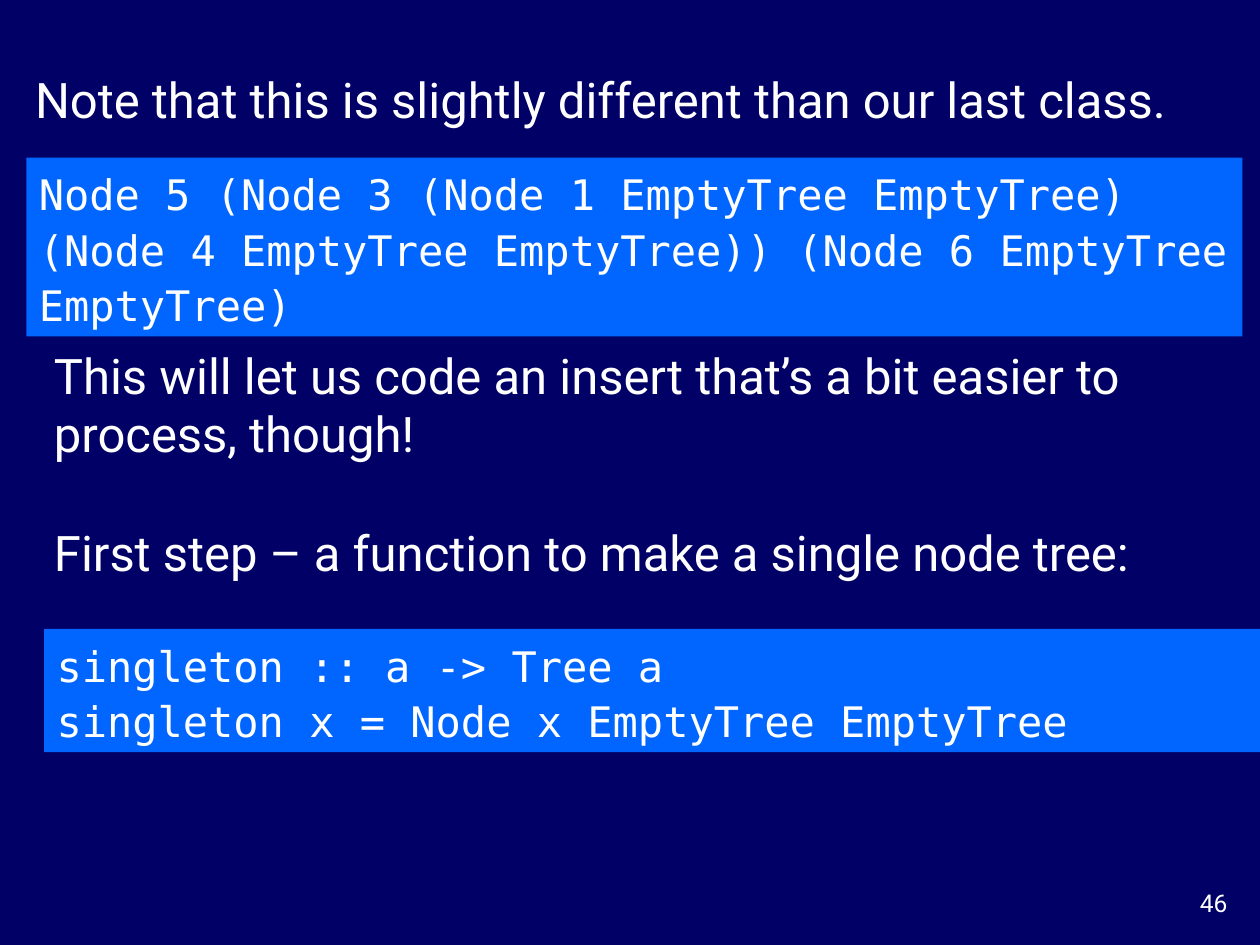
import dataclasses

import pptx
import pptx.dml.color
import pptx.enum.shapes
import pptx.enum.text
import pptx.util
from pptx.util import Inches, Pt


@dataclasses.dataclass(frozen=True)
class Theme:
    """Colours, fonts and type sizes of the slide."""

    background: str = "000066"
    panel: str = "0066FF"
    ink: str = "FFFFFF"
    prose_font: str = "Roboto"
    code_font: str = "DejaVu Sans Mono"
    prose_size: int = 28
    code_size: int = 24
    number_size: int = 14
    line_gap: int = 34
    code_spacing: float = 1.1


THEME = Theme()


def rgb(value):
    """Turn a hex string into a colour."""
    return pptx.dml.color.RGBColor.from_string(value)


def write(tf, lines, font, size, align=pptx.enum.text.PP_ALIGN.LEFT, gap=0, spacing=None):
    """Fill a text frame with one run per paragraph."""
    tf.word_wrap = True
    for i, line in enumerate(lines):
        p = tf.add_paragraph() if i else tf.paragraphs[0]
        p.alignment = align
        p.line_spacing = spacing
        p.space_before = Pt(gap if i else 0)
        r = p.add_run()
        r.text = line
        r.font.name = font
        r.font.size = Pt(size)
        r.font.color.rgb = rgb(THEME.ink)


def add_prose(s, box, lines, bottom=0.05):
    """Place sentences centred vertically above a bottom margin."""
    tf = s.shapes.add_textbox(*map(Inches, box)).text_frame
    tf.vertical_anchor = pptx.enum.text.MSO_ANCHOR.MIDDLE
    tf.margin_bottom = Inches(bottom)
    write(tf, lines, THEME.prose_font, THEME.prose_size, gap=THEME.line_gap)


def add_code(s, box, lines):
    """Place a code listing on a filled panel."""
    sp = s.shapes.add_shape(pptx.enum.shapes.MSO_SHAPE.RECTANGLE, *map(Inches, box))
    sp.shadow.inherit = False
    sp.fill.solid()
    sp.fill.fore_color.rgb = rgb(THEME.panel)
    sp.line.fill.background()
    sp.text_frame.vertical_anchor = pptx.enum.text.MSO_ANCHOR.MIDDLE
    write(sp.text_frame, lines, THEME.code_font, THEME.code_size, spacing=THEME.code_spacing)


def add_number(s, box, number):
    """Place the slide number at the right of its box."""
    tf = s.shapes.add_textbox(*map(Inches, box)).text_frame
    write(tf, [number], THEME.prose_font, THEME.number_size, pptx.enum.text.PP_ALIGN.RIGHT)


def main():
    """Build and save the slide."""
    prs = pptx.Presentation()
    prs.slide_width, prs.slide_height = Inches(10), Inches(7.5)
    s = prs.slides.add_slide(prs.slide_layouts[6])
    s.background.fill.solid()
    s.background.fill.fore_color.rgb = rgb(THEME.background)

    add_number(s, (9.17, 7, 0.67, 0.33), "46")
    add_prose(s, (0.18, 0.27, 9.31, 1.5),
              ["Note that this is slightly different than our last class."], bottom=0.52)
    add_code(s, (0.21, 1.25, 9.65, 1.42),
             ["Node 5 (Node 3 (Node 1 EmptyTree EmptyTree) "
              "(Node 4 EmptyTree EmptyTree)) (Node 6 EmptyTree EmptyTree)"])
    add_prose(s, (0.33, 2.69, 9.31, 1.97),
              ["This will let us code an insert that’s a bit easier to process, though!",
               "First step – a function to make a single node tree:"])
    add_code(s, (0.35, 4.99, 9.65, 0.98),
             ["singleton :: a -> Tree a",
              "singleton x = Node x EmptyTree EmptyTree"])
    prs.save("out.pptx")


if __name__ == "__main__":
    main()
